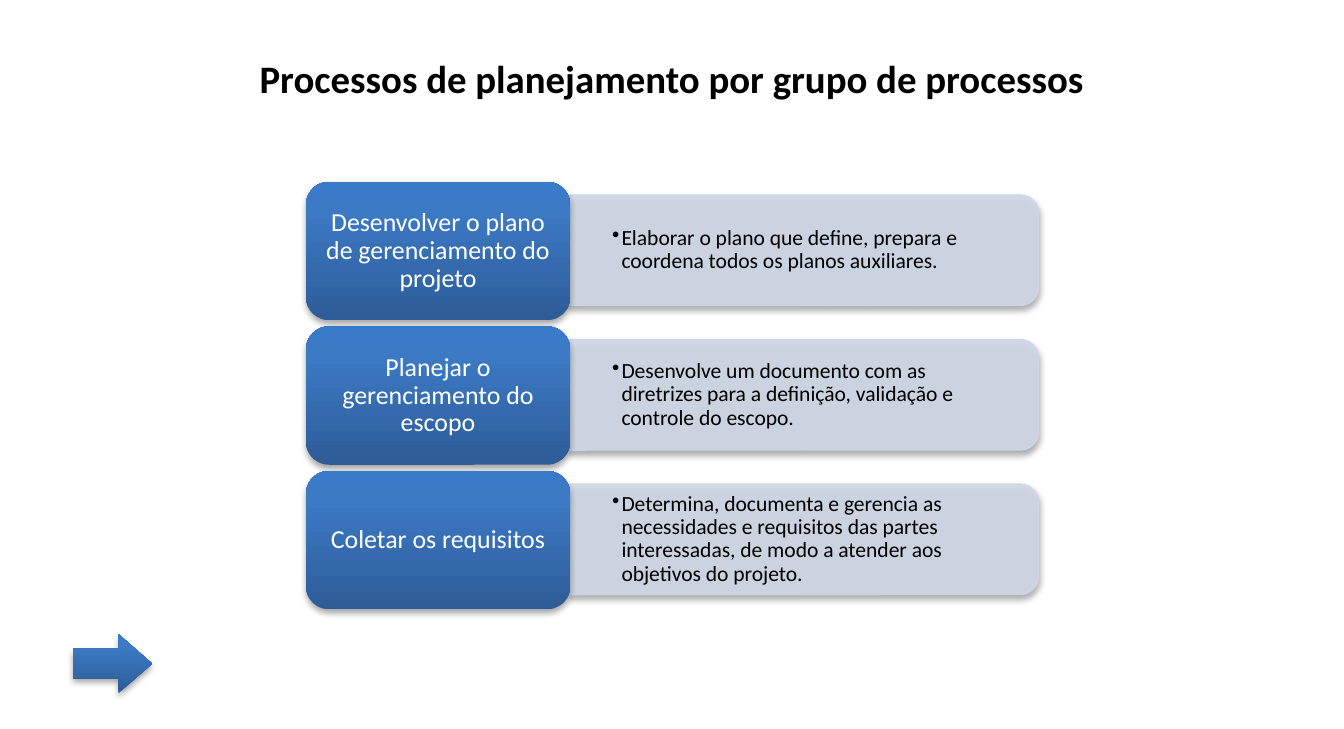
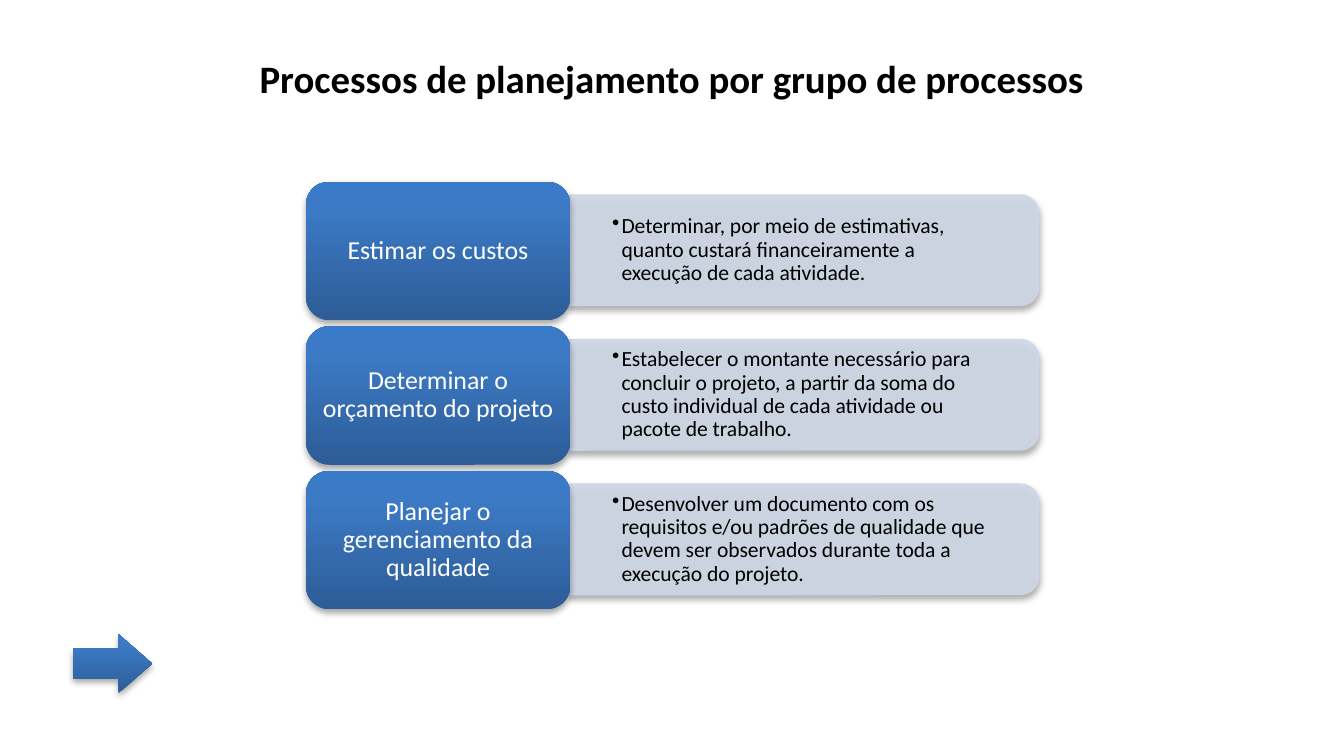
from lxml.etree import SubElement
from pptx import Presentation
from pptx.dml.color import RGBColor
from pptx.enum.shapes import MSO_SHAPE
from pptx.enum.text import MSO_ANCHOR, MSO_AUTO_SIZE, PP_ALIGN
from pptx.oxml.ns import qn
from pptx.util import Pt

PX = 9144  # 100 px to the inch
FONT = "Calibri"
BLACK, WHITE, PALE = "000000", "FFFFFF", "CFD7E7"
BLUES = [(0, "2D5C97"), (80, "3C7AC5"), (100, "397BC9")]
TOP, STEP = 117, 93  # first row and row pitch

TITLE = "Processos de planejamento por grupo de processos"
SLIDES = [
    [
        ("Desenvolver o plano de gerenciamento do projeto",
         "Elaborar o plano que define, prepara e coordena todos os planos auxiliares."),
        ("Planejar o gerenciamento do escopo",
         "Desenvolve um documento com as diretrizes para a definição, validação e "
         "controle do escopo."),
        ("Coletar os requisitos",
         "Determina, documenta e gerencia as necessidades e requisitos das partes "
         "interessadas, de modo a atender aos objetivos do projeto."),
    ],
    [
        ("Estimar os custos",
         "Determinar, por meio de estimativas, quanto custará financeiramente a "
         "execução de cada atividade."),
        ("Determinar o orçamento do projeto",
         "Estabelecer o montante necessário para concluir o projeto, a partir da soma do "
         "custo individual de cada atividade ou pacote de trabalho."),
        ("Planejar o gerenciamento da qualidade",
         "Desenvolver um documento com os requisitos e/ou padrões de qualidade que "
         "devem ser observados durante toda a execução do projeto."),
    ],
]


def px(*nums):
    return [n * PX for n in nums]


def rgb(code):
    return RGBColor.from_string(code)


def apply(item, form):
    for key, value in form.items():
        setattr(item, key, value)


def node(parent, tag, **attrs):
    child = SubElement(parent, qn(tag))
    for key, value in attrs.items():
        child.set(key, str(value))
    return child


def tint(parent, code, alpha=None):
    clr = node(parent, "a:srgbClr", val=code)
    if alpha is not None:
        node(clr, "a:alpha", val=alpha * 1000)


def write(shape, text, size, color, pad, anchor=MSO_ANCHOR.MIDDLE,
          align=PP_ALIGN.CENTER, space=0.9, bold=False):
    """Fill a shape with one formatted paragraph."""
    side, edge = px(*pad)
    frame = shape.text_frame
    frame.text = text
    apply(frame, {
        "word_wrap": True, "auto_size": MSO_AUTO_SIZE.NONE,
        "vertical_anchor": anchor, "margin_left": side, "margin_right": side,
        "margin_top": edge, "margin_bottom": edge,
    })
    para = frame.paragraphs[0]
    apply(para, {"alignment": align, "line_spacing": space})
    font = para.runs[0].font
    apply(font, {"name": FONT, "size": Pt(size), "bold": bold})
    font.color.rgb = rgb(color)
    return para


def bullet(para):
    props = para._p.get_or_add_pPr()
    for key, value in {"marL": 6 * PX, "indent": -6 * PX}.items():
        props.set(key, str(value))
    tint(node(props, "a:buClr"), BLACK)
    node(props, "a:buChar", char="•")


def shade(shape):
    """Soft shadow that falls straight down."""
    shape.shadow.inherit = False
    list_ = shape._element.spPr.find(qn("a:effectLst"))
    drop = node(list_, "a:outerShdw", blurRad=Pt(3.1), dist=Pt(1.8),
                dir=5400000, rotWithShape=0)
    tint(drop, BLACK, 35)


def form(slide, kind, box, adjust):
    shape = slide.shapes.add_shape(kind, *px(*box))
    for i, value in enumerate(adjust):
        shape.adjustments[i] = value
    shade(shape)
    return shape


def glossy(slide, kind, box, adjust):
    """Blue shape, dark at the foot."""
    shape = form(slide, kind, box, adjust)
    shape.line.fill.background()
    shape.fill.gradient()
    shape.fill.gradient_angle = 90
    stops = shape._element.spPr.find(qn("a:gradFill")).find(qn("a:gsLst"))
    stops.clear()
    for pos, code in BLUES:
        tint(node(stops, "a:gs", pos=pos * 1000), code)
    return shape


def panel(slide, y, text):
    """Pale bar, rounded on the right, with its bullet."""
    bar = form(slide, MSO_SHAPE.ROUND_2_SAME_RECTANGLE,
               (482, y - 107, 71, 302), (0.167, 0))
    bar.rotation = 90
    bar.line.width = Pt(0.75)
    for fill in (bar.fill, bar.line.fill):
        fill.solid()
        fill.fore_color.rgb = rgb(PALE)
    for clr in bar._element.spPr.findall(".//" + qn("a:srgbClr")):
        if clr.get("val") == PALE:
            node(clr, "a:alpha", val=90000)
    note = slide.shapes.add_textbox(*px(367, y + 12, 299, 64))
    bullet(write(note, text, 10, BLACK, (27, 14), align=PP_ALIGN.LEFT))


def label(slide, y, text):
    tile = glossy(slide, MSO_SHAPE.ROUNDED_RECTANGLE, (197, y, 170, 89), (0.167,))
    write(tile, text, 12, WHITE, (5, 2))


def head(slide):
    title = slide.shapes.title
    apply(title, dict(zip(("left", "top", "width", "height"), px(0, 30, 865, 40))))
    write(title, TITLE, 18, BLACK, (10, 5), MSO_ANCHOR.TOP, space=1.0, bold=True)


def main():
    deck = Presentation()
    apply(deck, dict(zip(("slide_width", "slide_height"), px(865, 469))))
    for rows in SLIDES:
        slide = deck.slides.add_slide(deck.slide_layouts[5])
        head(slide)
        for i, (name, text) in enumerate(rows):
            y = TOP + i * STEP
            panel(slide, y, text)
            label(slide, y, name)
        glossy(slide, MSO_SHAPE.RIGHT_ARROW, (47, 408, 51, 38), (0.5, 0.571))
    deck.save("out.pptx")


if __name__ == "__main__":
    main()
